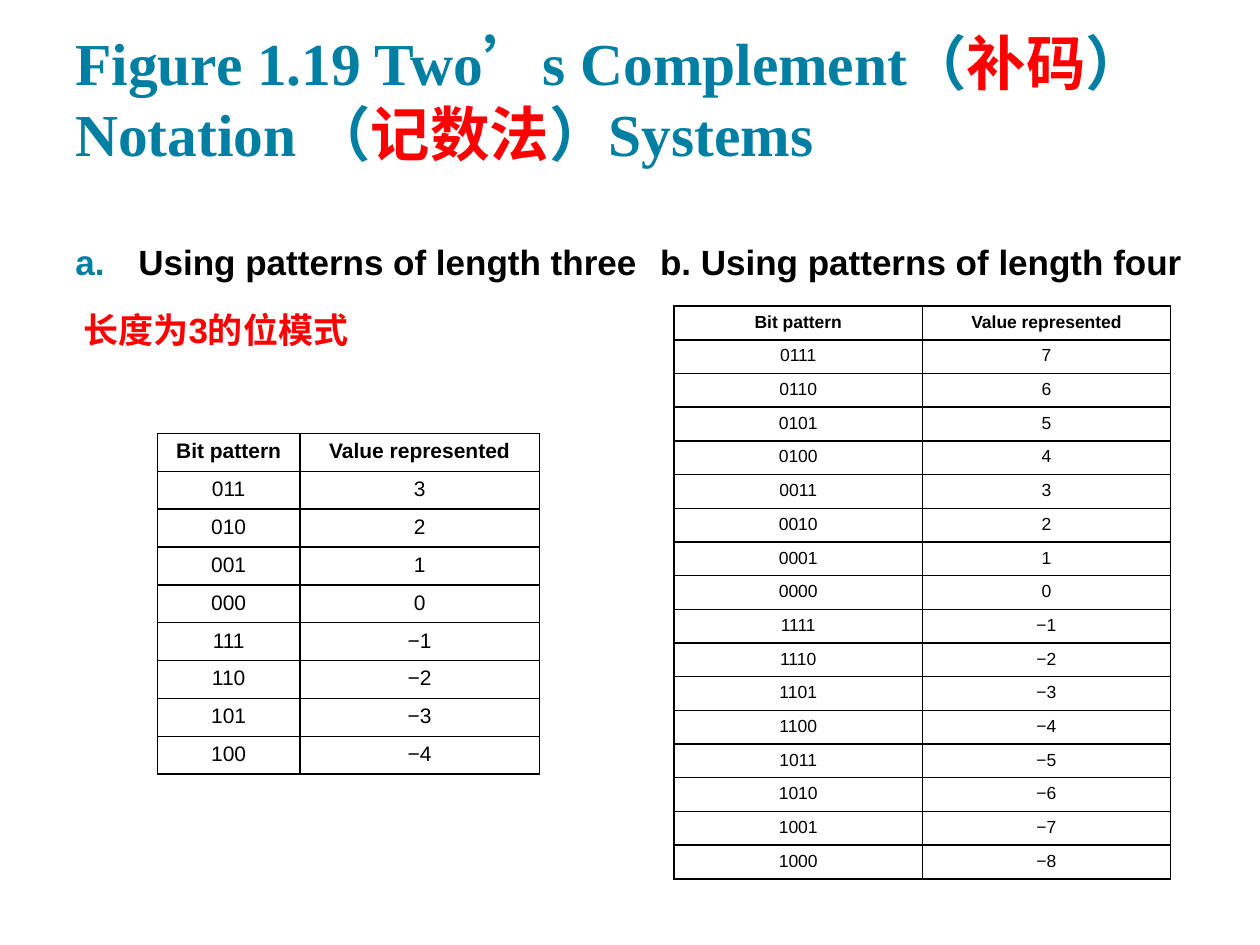
from pptx import Presentation
from pptx.dml.color import RGBColor
from pptx.enum.text import MSO_ANCHOR as Anchor, PP_ALIGN as Align
from pptx.oxml import parse_xml
from pptx.oxml.ns import nsdecls
from pptx.util import Inches, Pt

TEAL = RGBColor(0x00, 0x7F, 0xA3)
RED = RGBColor(0xFF, 0x00, 0x00)
BLACK = RGBColor(0x00, 0x00, 0x00)
WHITE = RGBColor(0xFF, 0xFF, 0xFF)

# Content: paragraphs are lists of (text, colour)
TITLE = [[
    ("Figure 1.19 Two’s Complement（", TEAL), ("补码", RED),
    ("） Notation （", TEAL), ("记数法", RED), ("）Systems", TEAL),
]]
LENGTH_THREE = [
    [("Using patterns of length three", BLACK)],
    [(" ", BLACK), ("长度为3的位模式", RED)],
]
LENGTH_FOUR = [[("b. Using patterns of length four", BLACK)]]
HEADER = ("Bit pattern", "Value represented")

TITLE_FONT = {"name": "Times New Roman", "size": Pt(34), "bold": True}
HEADING_FONT = {"name": "Arial", "size": Pt(20), "bold": True}

# Tables: bits, left, top, column widths, row height, text size
TABLES = [
    (3, 1.25, 3.44, (1.13, 1.9), 0.28, 12),
    (4, 5.35, 2.43, (1.97, 1.97), 0.25, 10),
]


def add_span(para, text, colour, font):
    span = para.add_run()
    span.text = text
    for key, value in font.items():
        setattr(span.font, key, value)
    span.font.color.rgb = colour


def add_text(page, place, paragraphs, font, anchor=Anchor.TOP, space=0):
    frame = page.shapes.add_textbox(*map(Inches, place)).text_frame
    settings = {"word_wrap": True, "vertical_anchor": anchor}
    for side in ("left", "top", "right", "bottom"):
        settings["margin_" + side] = Inches(0.1)
    for key, value in settings.items():
        setattr(frame, key, value)
    for index, spans in enumerate(paragraphs):
        para = frame.add_paragraph() if index else frame.paragraphs[0]
        para.space_before = Pt(space)
        for text, colour in spans:
            add_span(para, text, colour, font)
    return frame


def add_letter(para):
    """Number the paragraph "a." in teal with a hanging indent."""
    props = para._p.get_or_add_pPr()
    props.set("marL", str(Inches(0.5)))
    props.set("indent", str(-Inches(0.5)))
    for xml in (
        f'<a:buClr {nsdecls("a")}><a:srgbClr val="{TEAL}"/></a:buClr>',
        f'<a:buFont {nsdecls("a")} typeface="Arial"/>',
        f'<a:buAutoNum {nsdecls("a")} type="alphaLcPeriod"/>',
    ):
        props.append(parse_xml(xml))


def add_borders(cell):
    props = cell._tc.get_or_add_tcPr()
    for index, edge in enumerate(("lnL", "lnR", "lnT", "lnB")):
        props.insert(index, parse_xml(
            f'<a:{edge} {nsdecls("a")} w="{Pt(1)}"><a:solidFill>'
            f'<a:srgbClr val="{BLACK}"/></a:solidFill></a:{edge}>'))


def pattern_rows(bits):
    """Every bit pattern, from the largest value down to the smallest."""
    half = 2 ** (bits - 1)
    rows = [HEADER]
    for value in range(half - 1, -half - 1, -1):
        rows.append((f"{value % (2 * half):0{bits}b}",
                     str(value).replace("-", "−")))
    return rows


def add_pattern_table(page, bits, left, top, widths, height, size):
    rows = pattern_rows(bits)
    place = (left, top, sum(widths), height * len(rows))
    table = page.shapes.add_table(
        len(rows), len(widths), *map(Inches, place)).table
    for column, width in zip(table.columns, widths):
        column.width = Inches(width)
    for row_index, texts in enumerate(rows):
        table.rows[row_index].height = Inches(height)
        font = {"name": "Arial", "size": Pt(size), "bold": row_index == 0}
        for column_index, text in enumerate(texts):
            cell = table.cell(row_index, column_index)
            cell.fill.solid()
            cell.fill.fore_color.rgb = WHITE
            add_borders(cell)
            para = cell.text_frame.paragraphs[0]
            para.alignment = Align.CENTER
            add_span(para, text, BLACK, font)


def main():
    deck = Presentation()
    deck.slide_width, deck.slide_height = Inches(10), Inches(7.5)
    page = deck.slides.add_slide(deck.slide_layouts[6])

    # Title
    add_text(page, (0.5, 0.24, 9, 1.2), TITLE, TITLE_FONT, Anchor.BOTTOM)

    # Headings
    frame = add_text(page, (0.5, 1.81, 5.43, 0.95), LENGTH_THREE,
                     HEADING_FONT, space=15)
    add_letter(frame.paragraphs[0])
    add_text(page, (5.14, 1.81, 4.36, 0.43), LENGTH_FOUR,
             HEADING_FONT, space=15)

    # Tables
    for table in TABLES:
        add_pattern_table(page, *table)

    deck.save("out.pptx")


if __name__ == "__main__":
    main()
